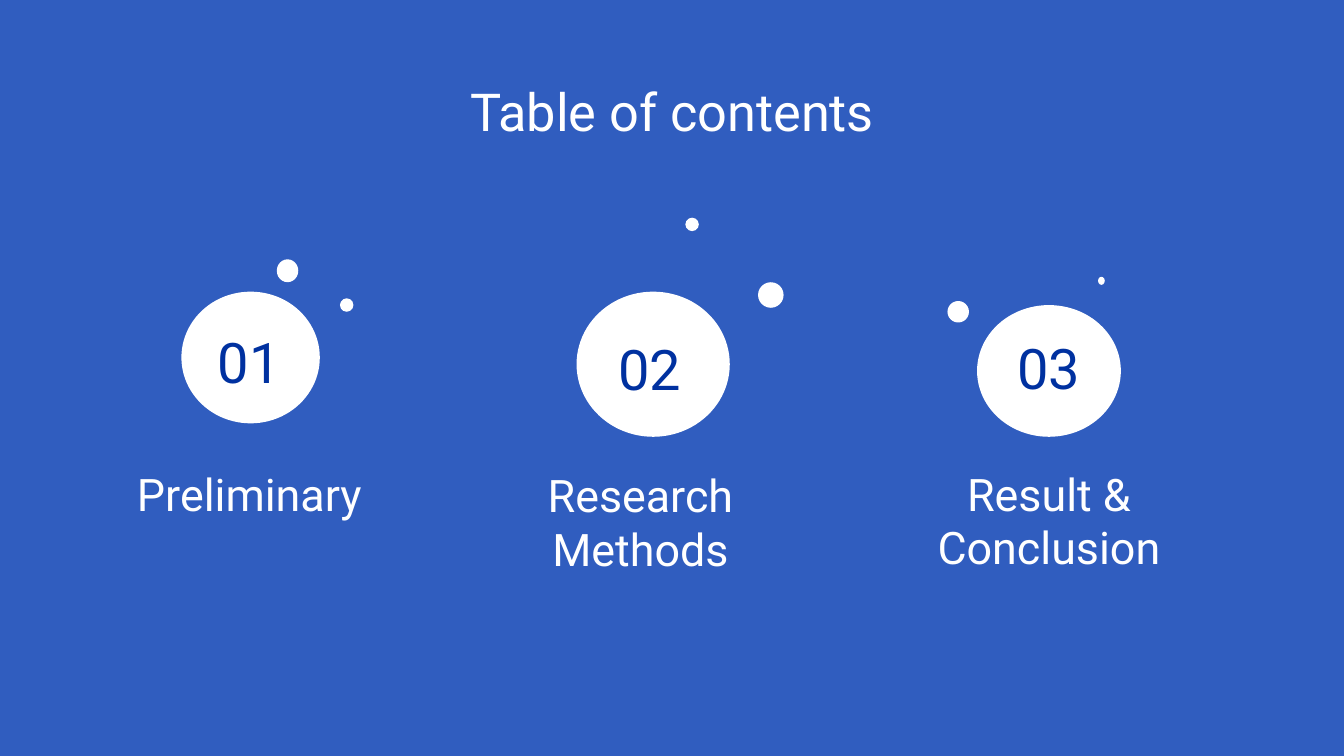
from pptx import Presentation
from pptx.dml.color import RGBColor
from pptx.enum.shapes import MSO_SHAPE
from pptx.enum.text import MSO_ANCHOR, PP_ALIGN
from pptx.util import Inches, Pt

COLORS = {"background": "305DBF", "white": "FFFFFF", "number": "0031A0"}
FONT = "Roboto"
COLUMN_TOP, COLUMN_WIDTH = 1.23, 2.65

# Circle, number and dots are (left, top, width, height) from the column's corner.
COLUMNS = [
    {"left": 0.53, "number": "01", "label": "Preliminary", "label_top": 2.14,
     "circle": (0.82, 0.94, 1.03, 0.98), "number_box": (0.96, 1.08, 0.73, 0.73),
     "dots": [(1.53, 0.70, 0.16, 0.17), (2.00, 0.99, 0.10, 0.10)]},
    {"left": 3.44, "number": "02", "label": "Research Methods", "label_top": 2.15,
     "circle": (0.85, 0.94, 1.14, 1.08), "number_box": (1.03, 0, 0.73, 1.86),
     "dots": [(1.66, 0.39, 0.10, 0.10), (2.20, 0.87, 0.19, 0.19)]},
    {"left": 6.48, "number": "03", "label": "Result & Conclusion", "label_top": 2.14,
     "circle": (0.79, 1.04, 1.07, 0.98), "number_box": (0.96, 1.12, 0.73, 0.73),
     "dots": [(0.57, 1.01, 0.16, 0.16), (1.69, 0.83, 0.05, 0.06)]},
]


def color(name):
    return RGBColor.from_string(COLORS[name])


def add_text(page, text, box, size, fill="white", anchor=MSO_ANCHOR.TOP):
    frame = page.shapes.add_textbox(*map(Inches, box)).text_frame
    frame.word_wrap = True
    frame.vertical_anchor = anchor
    frame.margin_left = frame.margin_right = Inches(0.1)
    frame.margin_top = frame.margin_bottom = Inches(0.1)
    para = frame.paragraphs[0]
    para.alignment = PP_ALIGN.CENTER
    span = para.add_run()
    span.text = text
    span.font.name = FONT
    span.font.size = Pt(size)
    span.font.color.rgb = color(fill)


def add_circle(page, box):
    circle = page.shapes.add_shape(MSO_SHAPE.OVAL, *map(Inches, box))
    circle.shadow.inherit = False
    circle.fill.solid()
    circle.fill.fore_color.rgb = color("white")
    circle.line.fill.background()


def add_column(page, column, left, top, width):
    """Place a numbered circle with its dots and the label below."""
    def within(box):
        return (left + box[0], top + box[1], box[2], box[3])

    add_circle(page, within(column["circle"]))
    add_text(page, column["label"], within((0, column["label_top"], width, 0.46)), size=24)
    add_text(page, column["number"], within(column["number_box"]), size=30,
             fill="number", anchor=MSO_ANCHOR.BOTTOM)
    for dot in column["dots"]:
        add_circle(page, within(dot))


def main():
    deck = Presentation()
    deck.slide_width = Inches(10)
    deck.slide_height = deck.slide_width * 9 // 16
    page = deck.slides.add_slide(deck.slide_layouts[6])
    page.background.fill.solid()
    page.background.fill.fore_color.rgb = color("background")

    add_text(page, "Table of contents", (0.34, 0.49, 9.32, 0.63), size=28)
    for column in COLUMNS:
        add_column(page, column, column["left"], COLUMN_TOP, COLUMN_WIDTH)
    deck.save("out.pptx")


if __name__ == "__main__":
    main()
